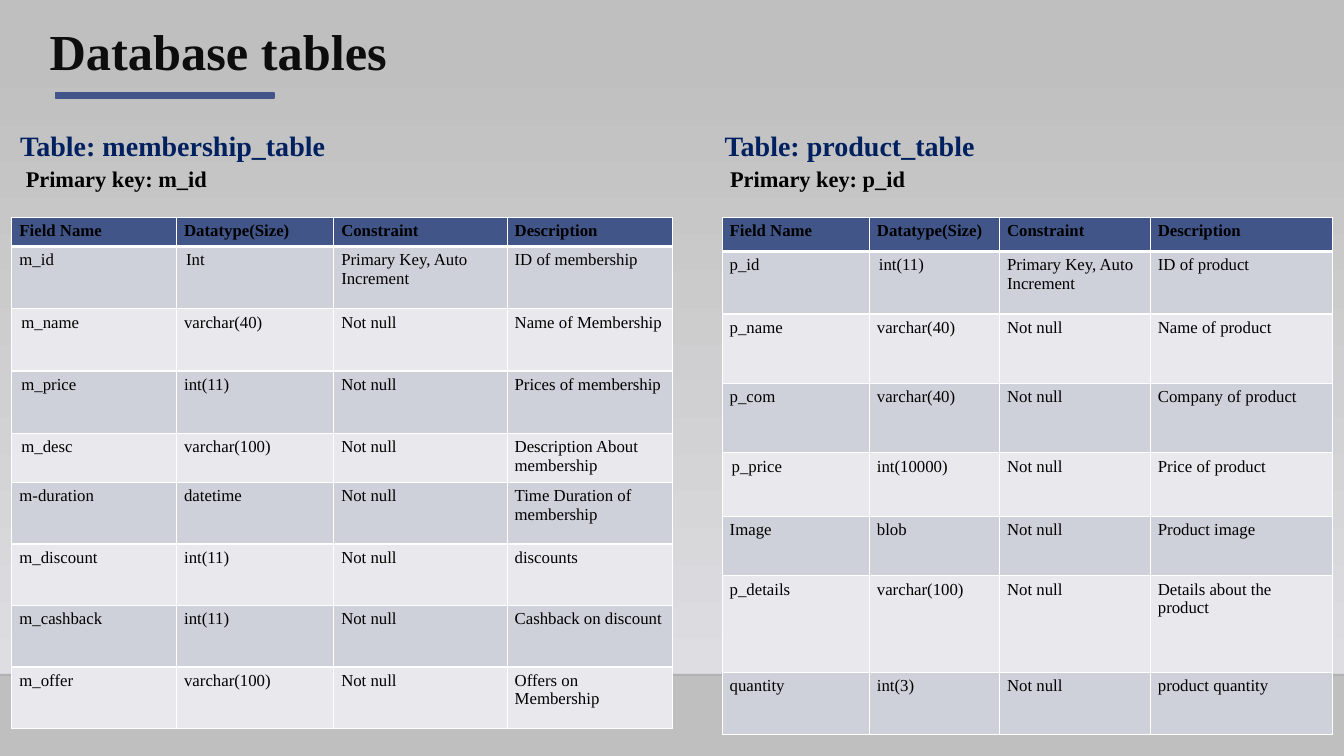
import lxml.etree
import pptx
import pptx.dml.color
import pptx.enum.shapes
import pptx.enum.text
import pptx.oxml.ns
import pptx.util

Cm = pptx.util.Cm
Pt = pptx.util.Pt
qn = pptx.oxml.ns.qn

FONT = "Times New Roman"
COLOURS = {
    "page": "BFBFBF", "wall": "DEDEE2", "floor line": "000001",
    "title": "0D0D0D", "heading": "002060", "text": "000000",
    "accent": "415588", "odd row": "CFD1DA", "even row": "E9E9ED", "border": "FFFFFF",
}
HEADER = ("Field Name", "Datatype(Size)", "Constraint", "Description")
AUTO_KEY = "Primary Key, Auto Increment"

# "indented" holds the (row, column) of cells set slightly to the right.
MEMBERSHIP = {
    "name": "membership_table", "key": "m_id",
    "left": 0.3, "heading left": 0.51,
    "widths": (4.15, 3.96, 4.37, 4.17),
    "heights": (0.71, 1.57, 1.57, 1.57, 1.18, 1.55, 1.55, 1.55, 1.55),
    "indented": {(1, 1), (2, 0), (3, 0), (4, 0)},
    "rows": (
        HEADER,
        ("m_id", "Int", AUTO_KEY, "ID of membership"),
        ("m_name", "varchar(40)", "Not null", "Name of Membership"),
        ("m_price", "int(11)", "Not null", "Prices of membership"),
        ("m_desc", "varchar(100)", "Not null", "Description About\nmembership"),
        ("m-duration", "datetime", "Not null", "Time Duration of membership"),
        ("m_discount", "int(11)", "Not null", "discounts"),
        ("m_cashback", "int(11)", "Not null", "Cashback on discount"),
        ("m_offer", "varchar(100)", "Not null", "Offers on Membership"),
    ),
}
PRODUCT = {
    "name": "product_table", "key": "p_id",
    "left": 18.2, "heading left": 18.26,
    "widths": (3.71, 3.28, 3.8, 4.6),
    "heights": (0.86, 1.57, 1.75, 1.75, 1.6, 1.5, 2.44, 1.55),
    "indented": {(1, 1), (4, 0)},
    "rows": (
        HEADER,
        ("p_id", "int(11)", AUTO_KEY, "ID of product"),
        ("p_name", "varchar(40)", "Not null", "Name of product"),
        ("p_com", "varchar(40)", "Not null", "Company of product"),
        ("p_price", "int(10000)", "Not null", "Price of product"),
        ("Image", "blob", "Not null", "Product image"),
        ("p_details", "varchar(100)", "Not null", "Details about the product"),
        ("quantity", "int(3)", "Not null", "product quantity"),
    ),
}


def colour(name):
    return pptx.dml.color.RGBColor.from_string(COLOURS[name])


def apply(target, formats):
    """Set every attribute named in formats on target."""
    for name, value in formats.items():
        setattr(target, name, value)


def style_font(font, size, colour_name, bold=True):
    apply(font, {"name": FONT, "size": Pt(size), "bold": bold})
    font.color.rgb = colour(colour_name)


def indent(para, distance):
    para._p.get_or_add_pPr().set("marL", str(Cm(distance)))


def add_rectangle(page, left, top, width, height):
    shape = page.shapes.add_shape(
        pptx.enum.shapes.MSO_SHAPE.RECTANGLE, Cm(left), Cm(top), Cm(width), Cm(height))
    shape.shadow.inherit = False
    return shape


def add_backdrop(page):
    """Shade the wall downwards and close it with a faint floor line."""
    page.background.fill.solid()
    page.background.fill.fore_color.rgb = colour("page")
    wall = add_rectangle(page, 0, 1.3, 33.87, 15.7)
    wall.line.fill.background()
    wall.fill.gradient()
    wall.fill.gradient_angle = 270
    for stop, name in zip(wall.fill.gradient_stops, ("page", "wall")):
        stop.color.rgb = colour(name)

    floor = page.shapes.add_connector(
        pptx.enum.shapes.MSO_CONNECTOR.STRAIGHT, 0, Cm(17), Cm(33.87), Cm(17))
    floor.line.width = Pt(1)
    floor.line.color.rgb = colour("floor line")
    shade = floor.line._get_or_add_ln().find(".//" + qn("a:srgbClr"))
    lxml.etree.SubElement(shade, qn("a:alpha"), val="20000")
    lxml.etree.SubElement(floor._element.spPr, qn("a:effectLst"))


def add_text(page, left, top, width, height, lines, bottom=0):
    """Add a bottom-anchored box; each line is text, size, colour, paragraph formats."""
    box = page.shapes.add_textbox(Cm(left), Cm(top), Cm(width), Cm(height))
    frame = box.text_frame
    apply(frame, {
        "word_wrap": True, "vertical_anchor": pptx.enum.text.MSO_ANCHOR.BOTTOM,
        "margin_left": 0, "margin_right": 0, "margin_top": 0, "margin_bottom": Cm(bottom),
    })
    for index, (text, size, colour_name, formats) in enumerate(lines):
        para = frame.add_paragraph() if index else frame.paragraphs[0]
        apply(para, formats)
        span = para.add_run()
        span.text = text
        style_font(span.font, size, colour_name)
    return frame


def add_heading(page, content):
    frame = add_text(page, content["heading left"], 3.5, 13.72, 2.09, [
        (f"Table: {content['name']}", 20, "heading",
         {"line_spacing": 0.7, "space_after": Pt(8)}),
        (f"Primary key: {content['key']}", 16, "text", {"line_spacing": 0.7}),
    ], bottom=0.76)
    indent(frame.paragraphs[1], 0.14)


def add_border(cell, side, width):
    line = lxml.etree.SubElement(
        cell._tc.get_or_add_tcPr(), qn(f"a:ln{side}"), w=str(Pt(width)))
    fill = lxml.etree.SubElement(line, qn("a:solidFill"))
    lxml.etree.SubElement(fill, qn("a:srgbClr"), val=COLOURS["border"])


def fill_cell(cell, text, row, indented):
    cell.text = text
    apply(cell, {"margin_left": Cm(0.19), "margin_right": Cm(0.19),
                 "margin_top": Cm(0.11), "margin_bottom": Cm(0.11)})
    for para in cell.text_frame.paragraphs:
        style_font(para.runs[0].font, 12, "text", bold=row == 0)
        if indented:
            indent(para, 0.05)
    for side, thick_row in (("L", None), ("R", None), ("T", 1), ("B", 0)):
        add_border(cell, side, 3 if row == thick_row else 1)
    cell.fill.solid()
    band = "odd row" if row % 2 else "even row"
    cell.fill.fore_color.rgb = colour(band if row else "accent")


def add_field_table(page, content):
    rows, widths, heights = content["rows"], content["widths"], content["heights"]
    table = page.shapes.add_table(
        len(rows), len(widths), Cm(content["left"]), Cm(5.48),
        Cm(sum(widths)), Cm(sum(heights))).table
    for column, width in zip(table.columns, widths):
        column.width = Cm(width)
    for row, (texts, height) in enumerate(zip(rows, heights)):
        table.rows[row].height = Cm(height)
        for column, text in enumerate(texts):
            fill_cell(table.cell(row, column), text, row,
                      (row, column) in content["indented"])


def add_title(page):
    add_text(page, 1.25, 0.36, 15.2, 1.7,
             [("Database tables", 36, "title", {"line_spacing": 0.9})])
    underline = add_rectangle(page, 1.4, 2.34, 5.51, 0.13)
    underline.fill.solid()
    underline.fill.fore_color.rgb = colour("accent")
    underline.line.color.rgb = colour("accent")
    underline.line.width = Pt(1.25)


def main():
    deck = pptx.Presentation()
    apply(deck, {"slide_width": Cm(33.87), "slide_height": Cm(19.05)})
    page = deck.slides.add_slide(deck.slide_layouts[6])
    add_backdrop(page)
    add_title(page)
    for content in (MEMBERSHIP, PRODUCT):
        add_heading(page, content)
        add_field_table(page, content)
    deck.save("out.pptx")


if __name__ == "__main__":
    main()
